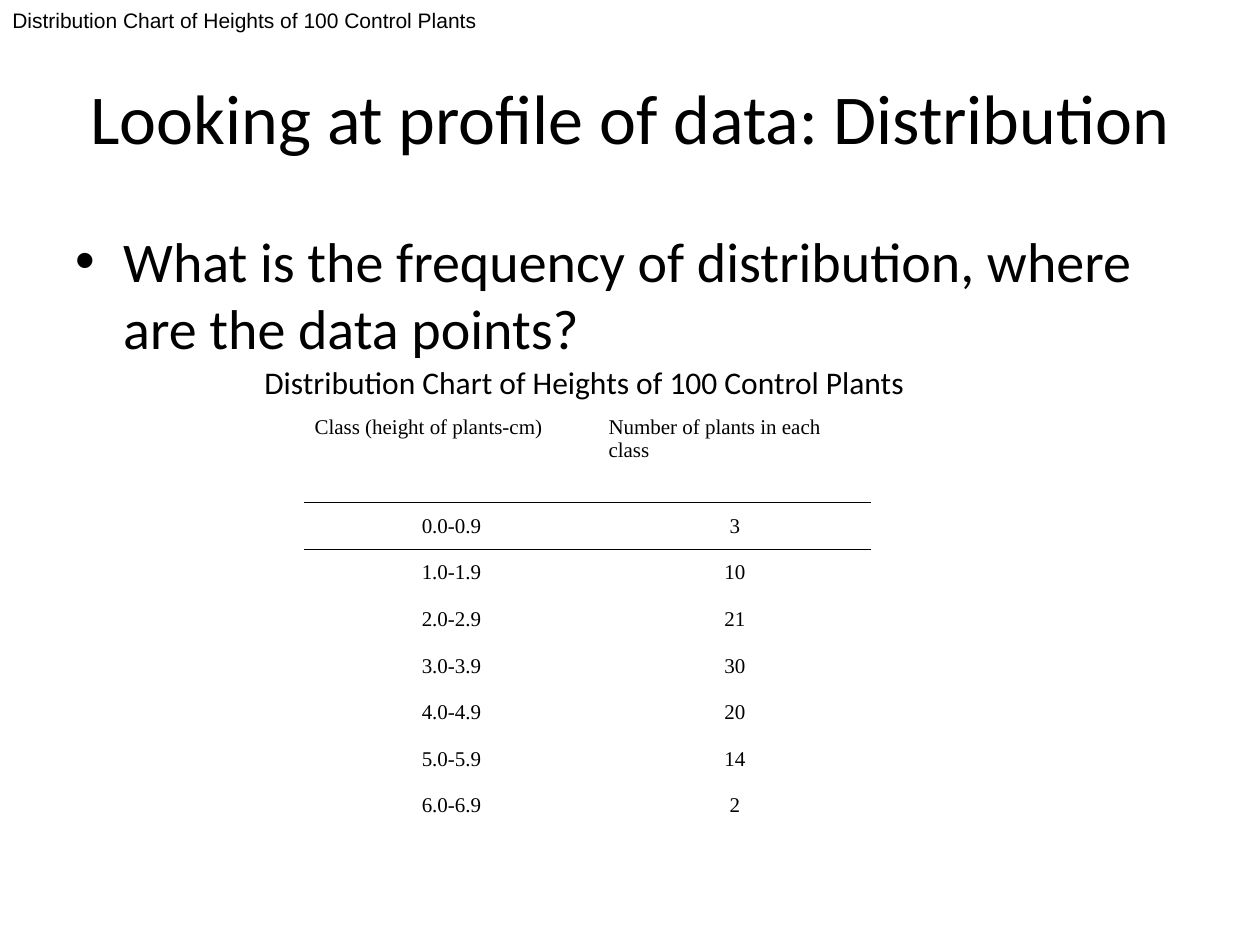
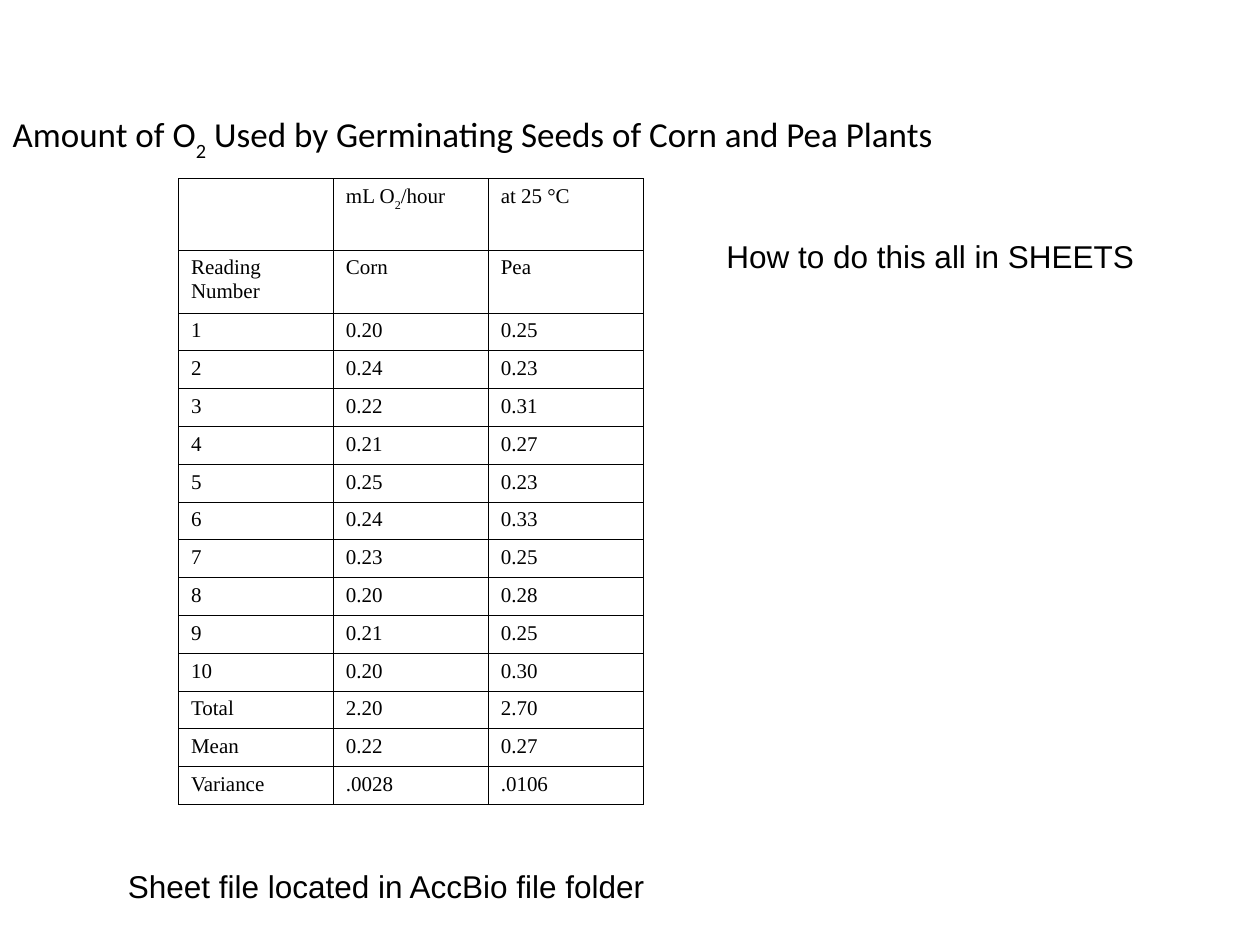
from lxml import etree
from pptx import Presentation
from pptx.dml.color import RGBColor
from pptx.enum.text import MSO_ANCHOR, MSO_AUTO_SIZE, PP_ALIGN
from pptx.oxml.ns import qn
from pptx.util import Inches, Pt

TOP, MIDDLE = MSO_ANCHOR.TOP, MSO_ANCHOR.MIDDLE
LEFT, CENTER = PP_ALIGN.LEFT, PP_ALIGN.CENTER
FIXED = MSO_AUTO_SIZE.NONE
PLAIN_TABLE = "{2D5ABB26-0587-4C30-8999-92F81FD0307C}"
TITLE_ONLY = 5

CHART_NAME = "Distribution Chart of Heights of 100 Control Plants"
HEIGHTS = [
    ("Class (height of plants-cm)", "Number of plants in each class"),
    *((f"{low}.0-{low}.9", str(count))
      for low, count in enumerate((3, 10, 21, 30, 20, 14, 2))),
]
CORN = "0.20 0.24 0.22 0.21 0.25 0.24 0.23 0.20 0.21 0.20 2.20 0.22 .0028".split()
PEA = "0.25 0.23 0.31 0.27 0.23 0.33 0.25 0.28 0.25 0.30 2.70 0.27 .0106".split()
LABELS = [*map(str, range(1, 11)), "Total", "Mean", "Variance"]
SEEDS = [
    ("", "mL O|2|/hour", "at 25 °C"),
    ("Reading Number", "Corn", "Pea"),
    *zip(LABELS, CORN, PEA),
]


def color(code):
    return RGBColor.from_string(code)


class Deck:
    """Style and current slide; places are in a grid of 120 columns by 90 rows."""
    INK = "000000"
    HEAD, BODY, DATA = "Calibri", "Arial", "Times New Roman"

    def __init__(self):
        self.file = Presentation()
        self.file.slide_width, self.file.slide_height = Inches(10), Inches(7.5)
        self.unit = self.file.slide_width / 120

    def span(self, *counts):
        return [round(count * self.unit) for count in counts]

    def fill_text(self, frame, text, size, font, align=LEFT):
        """Fill the first paragraph; text between bars is set as subscript."""
        para = frame.paragraphs[0]
        para.alignment = align
        for place, part in enumerate(text.split("|")):
            if not part:
                continue
            run = para.add_run()
            run.text = part
            run.font.size, run.font.name = Pt(size), font
            run.font.color.rgb = color(self.INK)
            if place % 2:
                run.font._element.set("baseline", "-30000")
        return para

    def title(self, text, place, size, align=CENTER):
        """Start a new slide with this title."""
        layout = self.file.slide_layouts[TITLE_ONLY]
        self.slide = self.file.slides.add_slide(layout)
        shape = self.slide.shapes.title
        shape.left, shape.top, shape.width, shape.height = self.span(*place)
        frame = shape.text_frame
        frame.auto_size, frame.vertical_anchor = FIXED, MIDDLE
        self.fill_text(frame, text, size, self.HEAD, align)

    def text(self, text, place, size, font=BODY, anchor=TOP):
        box = self.slide.shapes.add_textbox(*self.span(*place))
        frame = box.text_frame
        frame.word_wrap, frame.vertical_anchor = True, anchor
        return self.fill_text(frame, text, size, font)

    def bullet(self, text, place, size):
        para = self.text(text, place, size, self.HEAD)
        props = para._p.get_or_add_pPr()
        props.set("marL", str(Inches(0.38)))
        props.set("indent", str(-Inches(0.38)))
        etree.SubElement(props, qn("a:buFont"), typeface=self.BODY)
        etree.SubElement(props, qn("a:buChar"), char="•")

    def border(self, cell, sides, width):
        props = cell._tc.get_or_add_tcPr()
        for side in sides:
            line = etree.SubElement(props, qn(f"a:ln{side}"), w=str(Pt(width)))
            fill = etree.SubElement(line, qn("a:solidFill"))
            etree.SubElement(fill, qn("a:srgbClr"), val=self.INK)

    def table(self, data, left, top, cols, rows, pad, grid):
        """Draw a full grid, or else one rule under the head and centred data."""
        frame = self.slide.shapes.add_table(
            len(rows), len(cols), *self.span(left, top, sum(cols), sum(rows)))
        table = frame.table
        table.first_row = table.horz_banding = False
        table._tbl.tblPr.find(qn("a:tableStyleId")).text = PLAIN_TABLE
        for col, width in zip(table.columns, self.span(*cols)):
            col.width = width
        for row, height in zip(table.rows, self.span(*rows)):
            row.height = height
        for r, line in enumerate(data):
            mid = r > 0 and not grid
            for c, text in enumerate(line):
                cell = table.cell(r, c)
                cell.margin_left = cell.margin_right = Inches(pad)
                cell.vertical_anchor = MIDDLE if mid else TOP
                self.fill_text(cell.text_frame, text, 12, self.DATA,
                               CENTER if mid else LEFT)
                if grid:
                    self.border(cell, "LRTB", 0.45)
                elif r < 2:
                    self.border(cell, "BT"[r], 0.75)
                cell.fill.background()


def main():
    deck = Deck()

    deck.title("Looking at profile of data: Distribution", (6, 3.6, 108, 15), 40)
    deck.bullet("What is the frequency of distribution, where are the data points?",
                (6, 21, 108, 59.4), 32)
    share = 40 / 9
    deck.table(HEIGHTS, 29, 39, [28, 26], [2 * share] + [share] * 7, 0.08, False)
    deck.text(CHART_NAME, (0, 0, 48, 3.8), 12, anchor=MIDDLE)
    deck.text(CHART_NAME, (24, 34, 78, 4.8), 18, deck.HEAD)

    deck.title("Amount of O|2| Used by Germinating Seeds of Corn and Pea Plants",
               (0, 10.2, 92, 5.8), 20, LEFT)
    deck.table(SEEDS, 17, 17, [14.75] * 3, [6.8, 6] + [3.6] * 13, 0.1, True)
    deck.text("Sheet file located in AccBio file folder", (11, 82, 95, 4.8), 18)
    deck.text("How to do this all in SHEETS", (68, 22, 48, 4.8), 18)

    deck.file.save("out.pptx")


if __name__ == "__main__":
    main()
